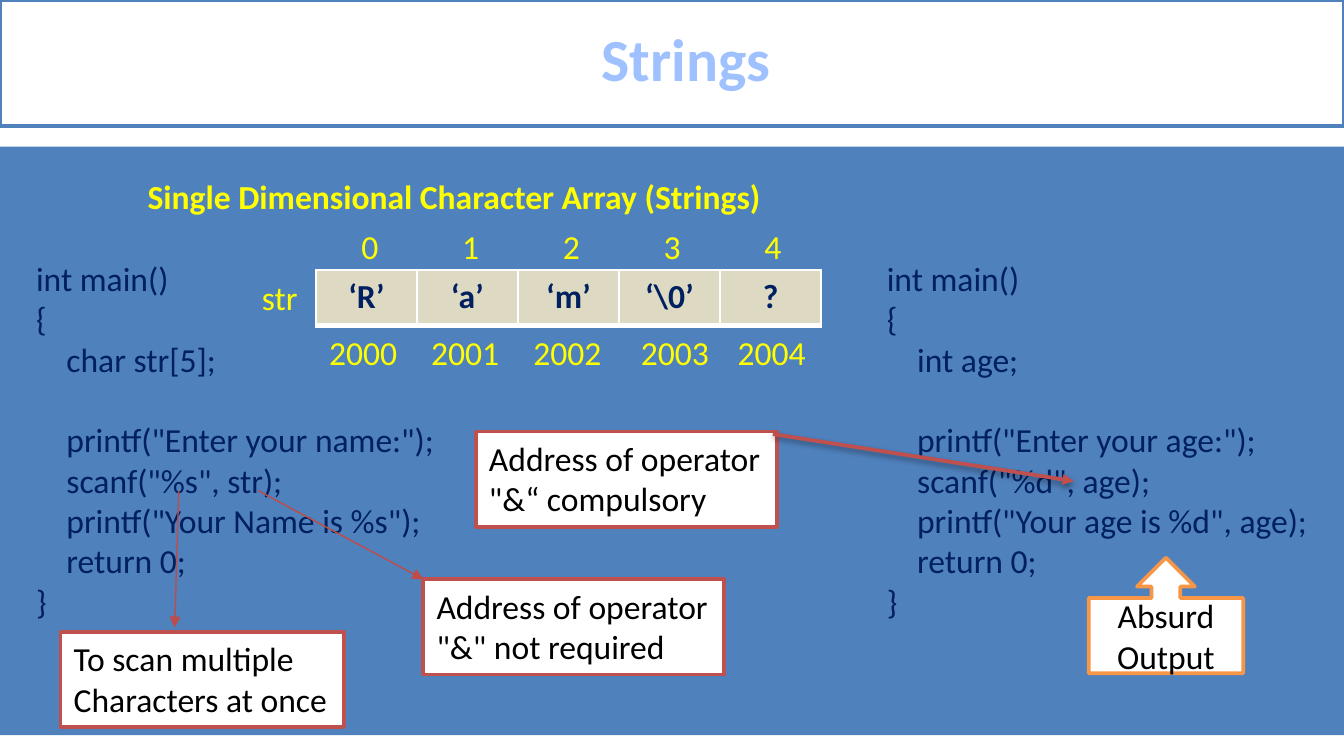
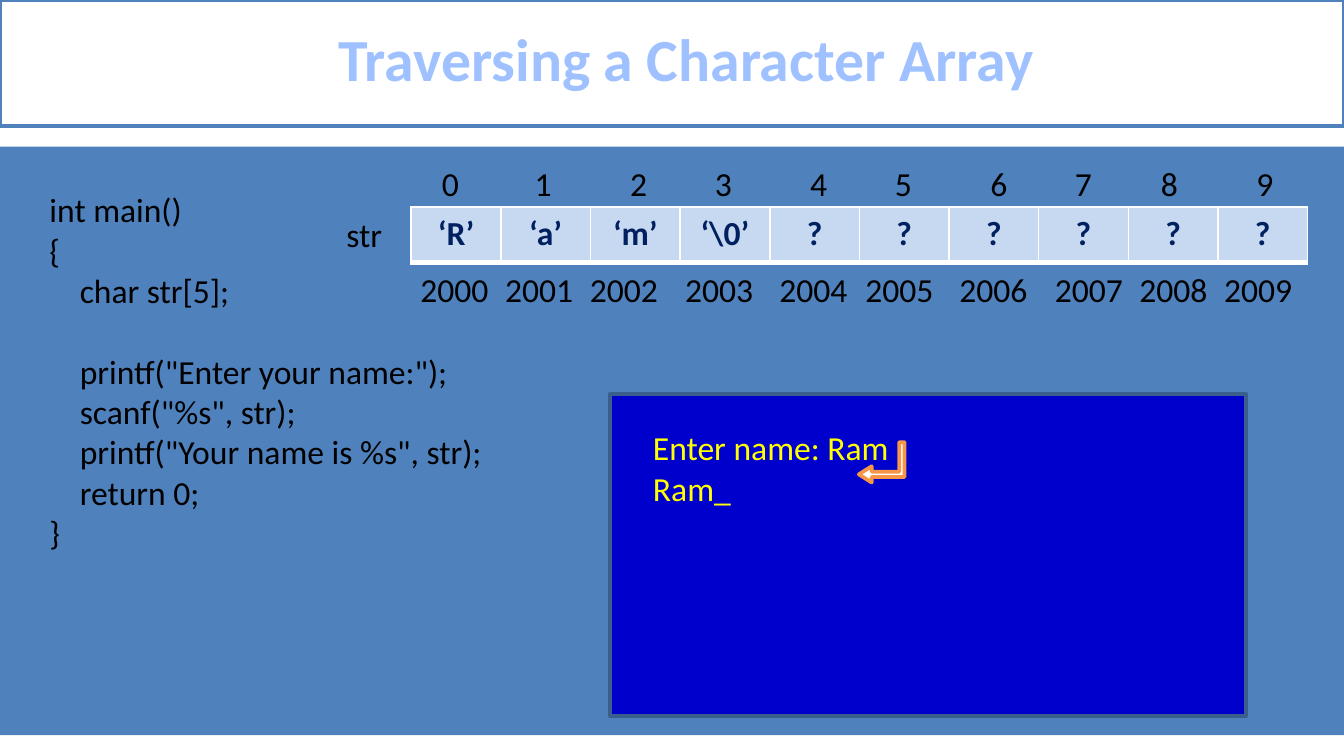
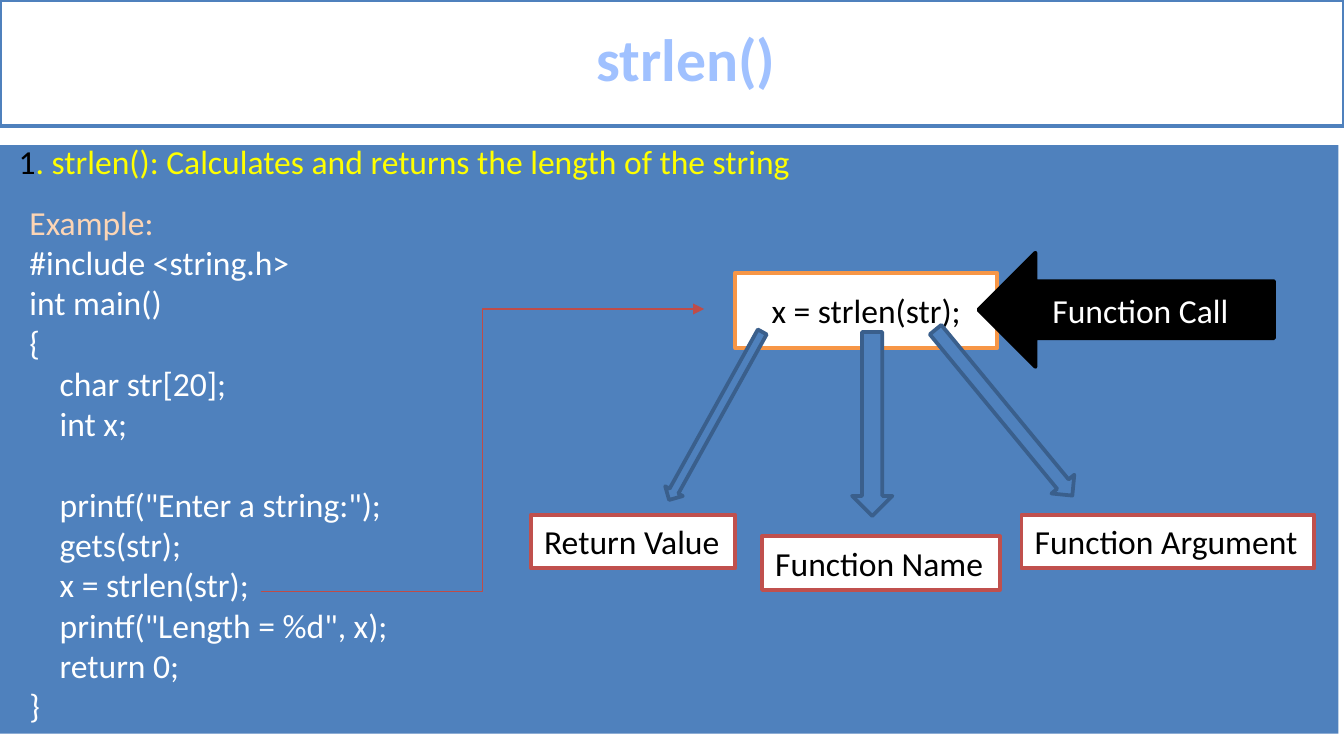
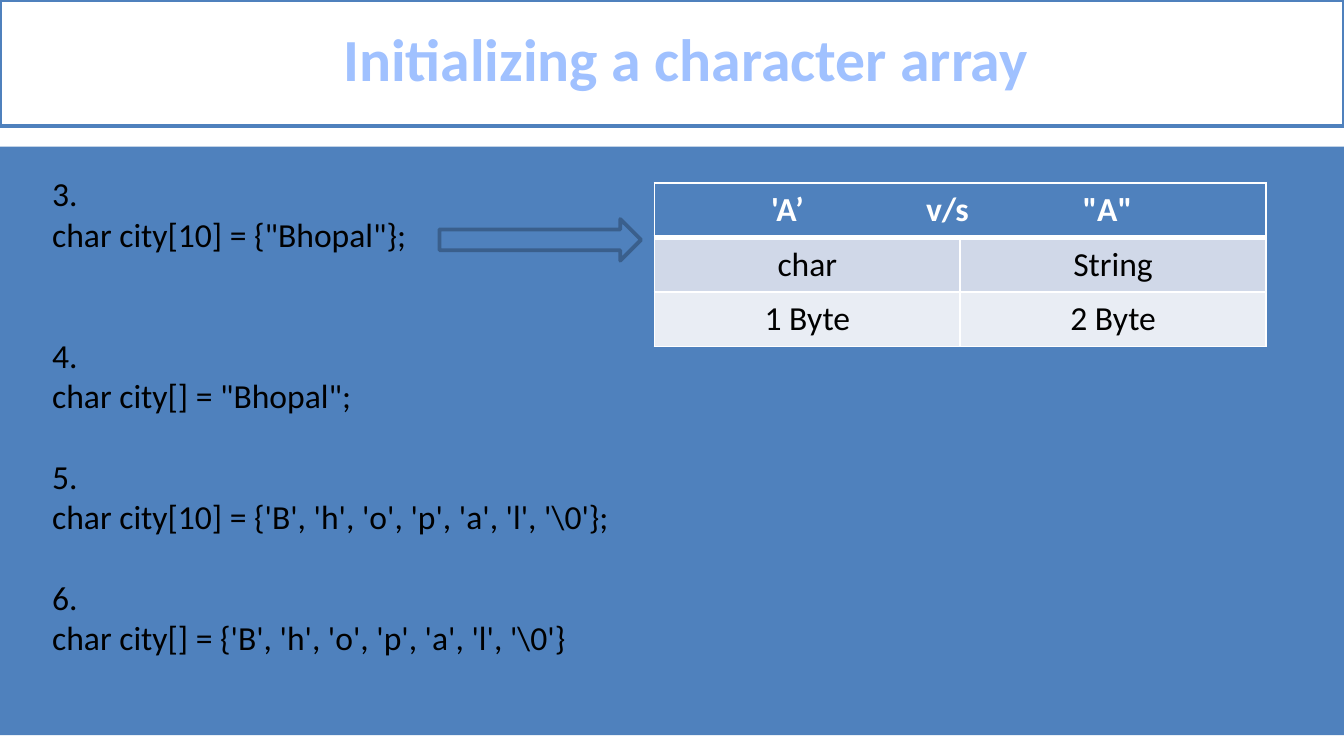
from lxml.etree import SubElement
from pptx import Presentation
from pptx.dml.color import RGBColor
from pptx.enum.shapes import MSO_CONNECTOR, MSO_SHAPE
from pptx.enum.text import MSO_ANCHOR, MSO_AUTO_SIZE, PP_ALIGN
from pptx.oxml.ns import qn
from pptx.util import Inches, Pt

FONT = "Calibri"
BLUE, WHITE, BLACK, YELLOW = "4F81BD", "FFFFFF", "000000", "FFFF00"
NAVY, RED, THIN_RED, ORANGE = "002060", "C0504D", "BF4C48", "F79646"
DARK_BLUE, TITLE_BLUE, PEACH = "3A5F8C", "A0C1FF", "FCD5B5"
LINE_HEIGHT = 21.6
PANEL = (0, 1.09, 10, 4.38)

NAME_CODE = """int main()
{
    char str[5];

    printf("Enter your name:");
    scanf("%s", str);
    printf("Your Name is %s");
    return 0;
}"""

AGE_CODE = """int main()
{
    int age;

    printf("Enter your age:");
    scanf("%d", age);
    printf("Your age is %d", age);
    return 0;
}"""

TRAVERSE_CODE = NAME_CODE.replace('Your Name is %s"', 'Your name is %s", str')

STRLEN_CODE = """Example:
#include <string.h>
int main()
{
    char str[20];
    int x;

    printf("Enter a string:");
    gets(str);
    x = strlen(str);
    printf("Length = %d", x);
    return 0;
}"""

CITY_CODE = """3.
char city[10] = {"Bhopal"};


4.
char city[] = "Bhopal";

5.
char city[10] = {'B', 'h', 'o', 'p', 'a', 'l', '\\0'};

6.
char city[] = {'B', 'h', 'o', 'p', 'a', 'l', '\\0'}"""


def rgb(value):
    return RGBColor.from_string(value)


def inches(values):
    return [Inches(value) for value in values]


def write(frame, text, color=BLACK, size=18, bold=False, align=PP_ALIGN.LEFT,
          lead="", lead_color=BLACK, first_color=None, spacing=None, tabs=()):
    """Fill a frame line by line; an empty line widens the gap before the next."""
    gap, paragraph = 0, None
    for line in text.split("\n"):
        if not line:
            gap += LINE_HEIGHT
            continue
        first = paragraph is None
        paragraph = frame.paragraphs[0] if first else frame.add_paragraph()
        paragraph.alignment = align
        if spacing:
            paragraph.line_spacing = spacing
        if gap:
            paragraph.space_before = Pt(gap)
        gap = 0
        if tabs:
            stops = SubElement(paragraph._p.get_or_add_pPr(), qn("a:tabLst"))
            for position in tabs:
                SubElement(stops, qn("a:tab"), pos=str(Inches(position)), algn="ctr")
        parts = [(lead, lead_color)] if first and lead else []
        parts.append((line, first_color if first and first_color else color))
        for words, shade in parts:
            run = paragraph.add_run()
            run.text = words
            run.font.name = FONT
            run.font.size = Pt(size)
            run.font.bold = bold
            run.font.color.rgb = rgb(shade)


def add_label(slide, box, text, wrap=False, **style):
    frame = slide.shapes.add_textbox(*inches(box)).text_frame
    frame.word_wrap = wrap
    frame.auto_size = MSO_AUTO_SIZE.NONE if wrap else MSO_AUTO_SIZE.SHAPE_TO_FIT_TEXT
    write(frame, text, **style)


def add_block(slide, box, kind=MSO_SHAPE.RECTANGLE, fill=BLUE, line=None,
              rotation=0, text="", **style):
    block = slide.shapes.add_shape(kind, *inches(box))
    block.shadow.inherit = False
    block.rotation = rotation
    block.fill.solid()
    block.fill.fore_color.rgb = rgb(fill)
    if line:
        block.line.color.rgb = rgb(line)
        block.line.width = Pt(2)
    else:
        block.line.fill.background()
    if text:
        block.text_frame.vertical_anchor = MSO_ANCHOR.MIDDLE
        write(block.text_frame, text, **{"align": PP_ALIGN.CENTER, **style})
    return block


def add_callout(slide, box, text):
    """A white box with a red frame around left-aligned text."""
    callout = add_block(slide, box, fill=WHITE, line=RED, text=text, align=PP_ALIGN.LEFT)
    callout.text_frame.word_wrap = False
    callout.text_frame.vertical_anchor = MSO_ANCHOR.TOP


def add_pointer(slide, start, end, kind=MSO_CONNECTOR.STRAIGHT, color=THIN_RED,
                width=0.75, shadow=False):
    pointer = slide.shapes.add_connector(kind, *inches(start + end))
    pointer.line.color.rgb = rgb(color)
    pointer.line.width = Pt(width)
    SubElement(pointer.line._get_or_add_ln(), qn("a:tailEnd"), type="triangle")
    effects = SubElement(pointer._element.spPr, qn("a:effectLst"))
    if shadow:
        outer = SubElement(effects, qn("a:outerShdw"), blurRad=str(Pt(3.1)),
                           dist=str(Pt(1.6)), dir="5400000", rotWithShape="0")
        shade = SubElement(outer, qn("a:srgbClr"), val=BLACK)
        SubElement(shade, qn("a:alpha"), val="38000")


def style_cell(cell, text, fill, side_margin, bottom=1, **style):
    cell.margin_left = cell.margin_right = Inches(side_margin)
    cell.margin_top = cell.margin_bottom = Inches(0.05)
    write(cell.text_frame, text, **style)
    properties = cell._tc.get_or_add_tcPr()
    for side, width in (("lnL", 1), ("lnR", 1), ("lnT", 1), ("lnB", bottom)):
        border = SubElement(properties, qn(f"a:{side}"), w=str(Pt(width)))
        paint = SubElement(border, qn("a:solidFill"))
        SubElement(paint, qn("a:srgbClr"), val=WHITE)
    cell.fill.solid()
    cell.fill.fore_color.rgb = rgb(fill)


def add_grid(slide, box, rows, columns):
    return slide.shapes.add_table(rows, columns, *inches(box)).table


def add_memory(slide, box, values, fill, color, side_margin, name_offset,
               index_offsets, address_offsets):
    """The cells of str with indexes above and addresses below."""
    left, top, _, height = box
    cells = add_grid(slide, box, 1, len(values))
    for column, value in enumerate(values):
        style_cell(cells.cell(0, column), value, fill, side_margin, bottom=3,
                   color=NAVY, bold=True, align=PP_ALIGN.CENTER)
    add_label(slide, (left + name_offset, top, 0.47, 0.4), "str", color=color)
    for index, offset in enumerate(address_offsets):
        add_label(slide, (left + offset, top + height, 0.71, 0.4), str(2000 + index),
                  color=color)
    for index, offset in enumerate(index_offsets):
        add_label(slide, (left + offset, top - 0.38, 0.33, 0.4), str(index), color=color)


def add_comparison(slide, box):
    """Single-quoted against double-quoted A."""
    grid = add_grid(slide, box, 3, 2)
    grid.cell(0, 0).merge(grid.cell(0, 1))
    style_cell(grid.cell(0, 0), "\t'A’\tv/s\t\"A\"", BLUE, 0.09, bottom=3,
               color=WHITE, bold=True, tabs=(0.9, 2.09, 3.28))
    body = ((("char", "String"), "D0D8E8"), (("1 Byte", "2 Byte"), "E9EDF4"))
    for row, (values, fill) in enumerate(body, start=1):
        for column, value in enumerate(values):
            style_cell(grid.cell(row, column), value, fill, 0.07, align=PP_ALIGN.CENTER)


def add_console(slide, box):
    left, top, _, _ = box
    add_block(slide, box, fill="0000CC", line=DARK_BLUE)
    add_label(slide, (left + 0.22, top + 0.2, 1.98, 0.71), "Enter name: Ram\nRam_",
              color=YELLOW)
    enter_key = add_block(slide, (left + 1.87, top + 0.34, 0.3, 0.34),
                          MSO_SHAPE.BENT_UP_ARROW, WHITE, ORANGE, rotation=90)
    enter_key._element.spPr.xfrm.set("flipV", "1")
    for number, value in enumerate((0.13, 0.2, 0.32)):
        enter_key.adjustments[number] = value


def add_call_diagram(slide, box):
    """The strlen call and the names of its parts."""
    left, top, _, _ = box
    add_block(slide, box, fill=WHITE, line=ORANGE, text="x = strlen(str);")
    arrows = (((-0.22, 0.35, 0.15, 1.43), 29),
              ((0.87, 0.44, 0.3, 1.37), 0),
              ((1.89, 0.24, 0.22, 1.6), 320.5))
    for (x, y, width, height), angle in arrows:
        add_block(slide, (left + x, top + y, width, height), MSO_SHAPE.DOWN_ARROW,
                  line=DARK_BLUE, rotation=angle)
    parts = (("Function Name", 0.2, 1.96, 1.77),
             ("Function Argument", 2.13, 1.8, 2.18),
             ("Return Value", -1.52, 1.8, 1.52))
    for name, x, y, width in parts:
        add_callout(slide, (left + x, top + y, width, 0.4), name)
    add_block(slide, (left + 1.81, top - 0.15, 2.2, 0.85), MSO_SHAPE.LEFT_ARROW,
              BLACK, BLACK, text="Function Call", color=WHITE)


def start_slide(deck, title, panel=PANEL):
    slide = deck.slides.add_slide(deck.slide_layouts[6])
    add_block(slide, panel)
    banner = add_block(slide, (0, 0, 10, 0.94), fill=WHITE, line=BLUE, text=title,
                       color=TITLE_BLUE, size=32, bold=True, spacing=0.96)
    banner.text_frame.margin_left = Inches(0.31)
    banner.text_frame.margin_bottom = Inches(0.09)
    return slide


def strings_slide(deck):
    slide = start_slide(deck, "Strings")
    add_label(slide, (1, 1.26, 9, 0.4), "Single Dimensional Character Array (Strings)",
              wrap=True, color=YELLOW, bold=True)
    add_label(slide, (0.17, 1.87, 3.21, 2.83), NAME_CODE, color=NAVY)
    add_callout(slide, (3.15, 4.31, 2.24, 0.71), 'Address of operator\n"&" not required')
    add_pointer(slide, (1.92, 3.65), (3.15, 4.31))
    add_label(slide, (6.5, 1.87, 3.38, 2.83), AGE_CODE, color=NAVY)
    add_callout(slide, (3.54, 3.21, 2.24, 0.71), 'Address of operator\n"&“ compulsory')
    add_pointer(slide, (5.75, 3.23), (7.99, 3.58), color=RED, width=2, shadow=True)
    add_callout(slide, (0.45, 4.7, 2.11, 0.71), "To scan multiple\nCharacters at once")
    add_pointer(slide, (1.33, 3.65), (1.3, 4.67))
    add_memory(slide, (2.35, 2.01, 3.76, 0.41), ["‘R’", "‘a’", "‘m’", "‘\\0’", "?"],
               "DDD9C3", YELLOW, 0.06, -0.5,
               [0.24 + 0.75 * index for index in range(5)],
               (0, 0.76, 1.52, 2.32, 3.04))
    add_block(slide, (8.1, 4.15, 1.15, 0.86), MSO_SHAPE.UP_ARROW_CALLOUT, WHITE, ORANGE,
              text="Absurd\nOutput")


def traversing_slide(deck):
    slide = start_slide(deck, "Traversing a Character Array")
    add_label(slide, (0.27, 1.36, 3.47, 2.83), TRAVERSE_CODE)
    add_console(slide, (4.54, 2.93, 4.73, 2.4))
    add_memory(slide, (3.06, 1.54, 6.67, 0.41),
               ["‘R’", "‘a’", "‘m’", "‘\\0’"] + ["?"] * 6,
               "C6D9F1", BLACK, 0.1, -0.58,
               (0.13, 0.82, 1.53, 2.16, 2.87, 3.5, 4.21, 4.84, 5.48, 6.19),
               (-0.03, 0.6, 1.23, 1.94, 2.64, 3.28, 3.98, 4.69, 5.32, 5.95))


def strlen_slide(deck):
    slide = start_slide(deck, "strlen()", panel=(-0.04, 1.08, 10, 4.38))
    add_label(slide, (0.04, 1, 9.85, 0.71),
              ". strlen(): Calculates and returns the length of the string",
              wrap=True, color=YELLOW, lead="1")
    add_label(slide, (0.12, 1.45, 2.91, 4.04), STRLEN_CODE, color=WHITE,
              first_color=PEACH)
    add_pointer(slide, (1.94, 4.4), (5.24, 2.3), MSO_CONNECTOR.ELBOW)
    add_call_diagram(slide, (5.47, 2.03, 1.95, 0.56))


def initializing_slide(deck):
    slide = start_slide(deck, "Initializing a character array")
    add_label(slide, (0.29, 1.24, 4.4, 3.74), CITY_CODE)
    add_block(slide, (3.27, 1.63, 1.5, 0.31), MSO_SHAPE.RIGHT_ARROW, line=DARK_BLUE)
    add_comparison(slide, (4.87, 1.36, 4.55, 1.22))


def main():
    deck = Presentation()
    deck.slide_width = Inches(10)
    deck.slide_height = deck.slide_width * 9 // 16
    for build in (strings_slide, traversing_slide, strlen_slide, initializing_slide):
        build(deck)
    deck.save("out.pptx")


if __name__ == "__main__":
    main()
